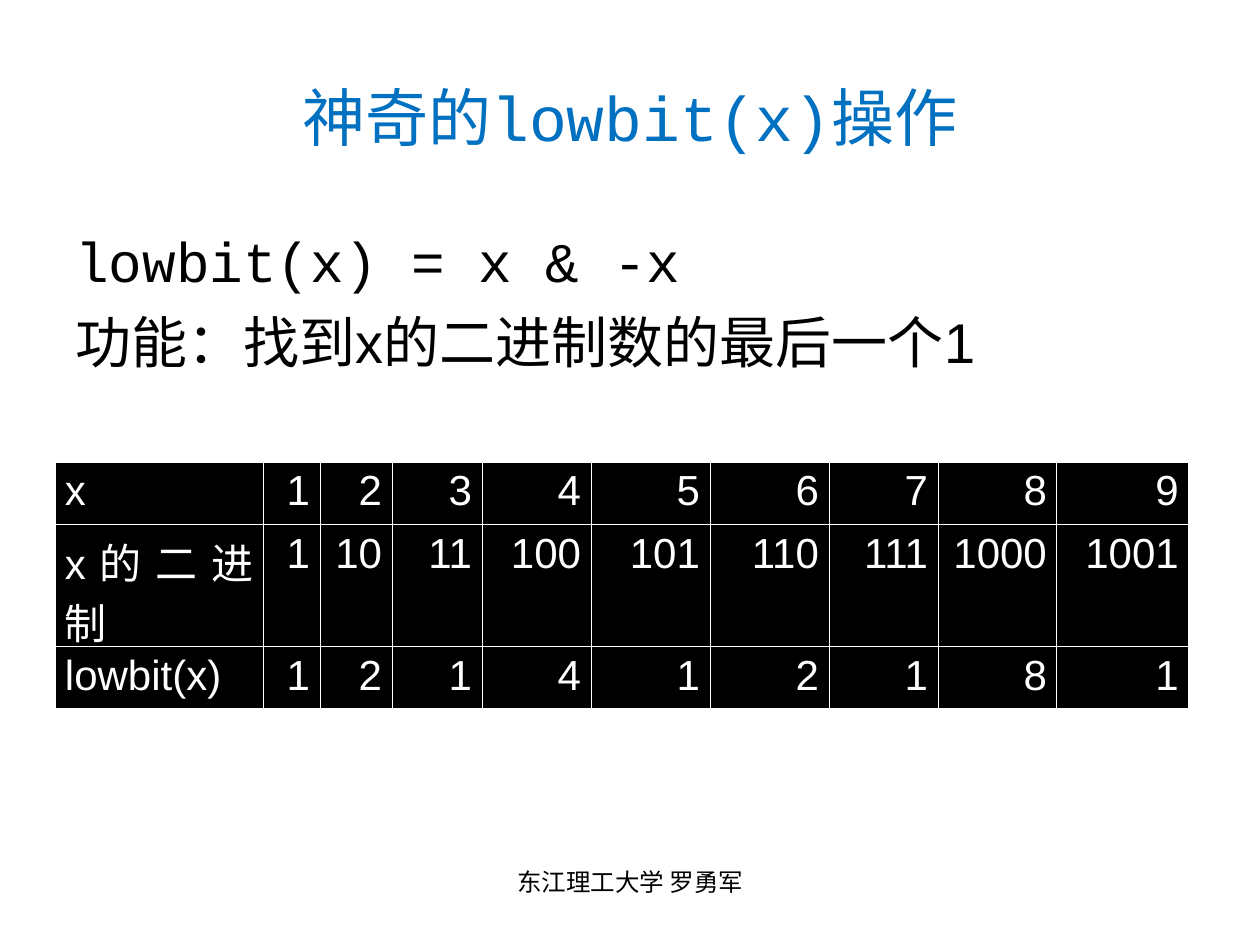
import pptx
import pptx.dml.color
import pptx.enum.text
import pptx.util
import lxml.etree

PX_PER_INCH = 126
ALIGN = pptx.enum.text.PP_ALIGN
ANCHOR = pptx.enum.text.MSO_ANCHOR
BLACK, WHITE, BLUE = "000000", "FFFFFF", "0070C0"
SANS, MONO = "Arial", "Courier New"
COLUMN_WIDTHS = [208, 57, 72, 90, 109, 119, 119, 109, 119, 132]
ROW_HEIGHTS = [47, 122, 47]
NUMBERS = range(1, 10)
TABLE_ROWS = [
    ["x", *(str(number) for number in NUMBERS)],
    ["x的二进制", *(f"{number:b}" for number in NUMBERS)],
    ["lowbit(x)", *(str(number & -number) for number in NUMBERS)],
]


def px(length):
    return pptx.util.Emu(round(length * 914400 / PX_PER_INCH))


def color(value):
    return pptx.dml.color.RGBColor.from_string(value)


def style_paragraph(paragraph, size, font_color, name=SANS, alignment=ALIGN.LEFT):
    paragraph.alignment = alignment
    paragraph.font.size = pptx.util.Pt(size)
    paragraph.font.name = name
    paragraph.font.color.rgb = color(font_color)


def add_title(slide, box):
    title = slide.shapes.title
    title.left, title.top, title.width, title.height = map(px, box)
    title.text_frame.vertical_anchor = ANCHOR.MIDDLE
    paragraph = title.text_frame.paragraphs[0]
    style_paragraph(paragraph, 36, BLUE, alignment=ALIGN.CENTER)
    for text, name in [("神奇的", SANS), ("lowbit(x)", MONO), ("操作", SANS)]:
        run = paragraph.add_run()
        run.text = text
        run.font.name = name


def add_text_box(slide, box):
    frame = slide.shapes.add_textbox(*map(px, box)).text_frame
    frame.word_wrap = True
    return frame


def add_explanation(slide, box):
    frame = add_text_box(slide, box)
    lines = [("lowbit(x) = x & -x", MONO), ("功能：找到x的二进制数的最后一个1", SANS)]
    frame.text = "\n".join(text for text, name in lines)
    for paragraph, (text, name) in zip(frame.paragraphs, lines):
        style_paragraph(paragraph, 32, BLACK, name)
        paragraph.space_before = pptx.util.Pt(8)


def set_borders(cell, width, line_color):
    properties = cell._tc.get_or_add_tcPr()
    namespace = pptx.oxml.ns.nsdecls("a")
    for side in ("L", "R", "T", "B"):
        properties.append(lxml.etree.fromstring(
            f'<a:ln{side} {namespace} w="{pptx.util.Pt(width)}"><a:solidFill>'
            f'<a:srgbClr val="{line_color}"/></a:solidFill></a:ln{side}>'))


def add_lowbit_table(slide, box):
    table = slide.shapes.add_table(
        len(TABLE_ROWS), len(COLUMN_WIDTHS), *map(px, box)).table
    for column, width in zip(table.columns, COLUMN_WIDTHS):
        column.width = px(width)
    for row, height, texts in zip(table.rows, ROW_HEIGHTS, TABLE_ROWS):
        row.height = px(height)
        for index, (cell, text) in enumerate(zip(row.cells, texts)):
            cell.text = text
            cell.margin_left = cell.margin_right = px(10)
            cell.margin_top = cell.margin_bottom = px(6)
            set_borders(cell, 0.45, WHITE)
            cell.fill.solid()
            cell.fill.fore_color.rgb = color(BLACK)
            alignment = ALIGN.RIGHT if index else ALIGN.JUSTIFY
            style_paragraph(cell.text_frame.paragraphs[0], 24, WHITE,
                            alignment=alignment)


def add_footer(slide, box):
    frame = add_text_box(slide, box)
    frame.text = "东江理工大学 罗勇军"
    style_paragraph(frame.paragraphs[0], 14, BLACK, alignment=ALIGN.CENTER)


def main():
    presentation = pptx.Presentation()
    presentation.slide_width, presentation.slide_height = px(1260), px(945)
    slide = presentation.slides.add_slide(presentation.slide_layouts[5])
    add_title(slide, (63, 38, 1134, 157))
    add_explanation(slide, (63, 220, 1134, 624))
    add_lowbit_table(slide, (55, 462, sum(COLUMN_WIDTHS), sum(ROW_HEIGHTS)))
    add_footer(slide, (431, 861, 399, 66))
    presentation.save("out.pptx")


if __name__ == "__main__":
    main()
